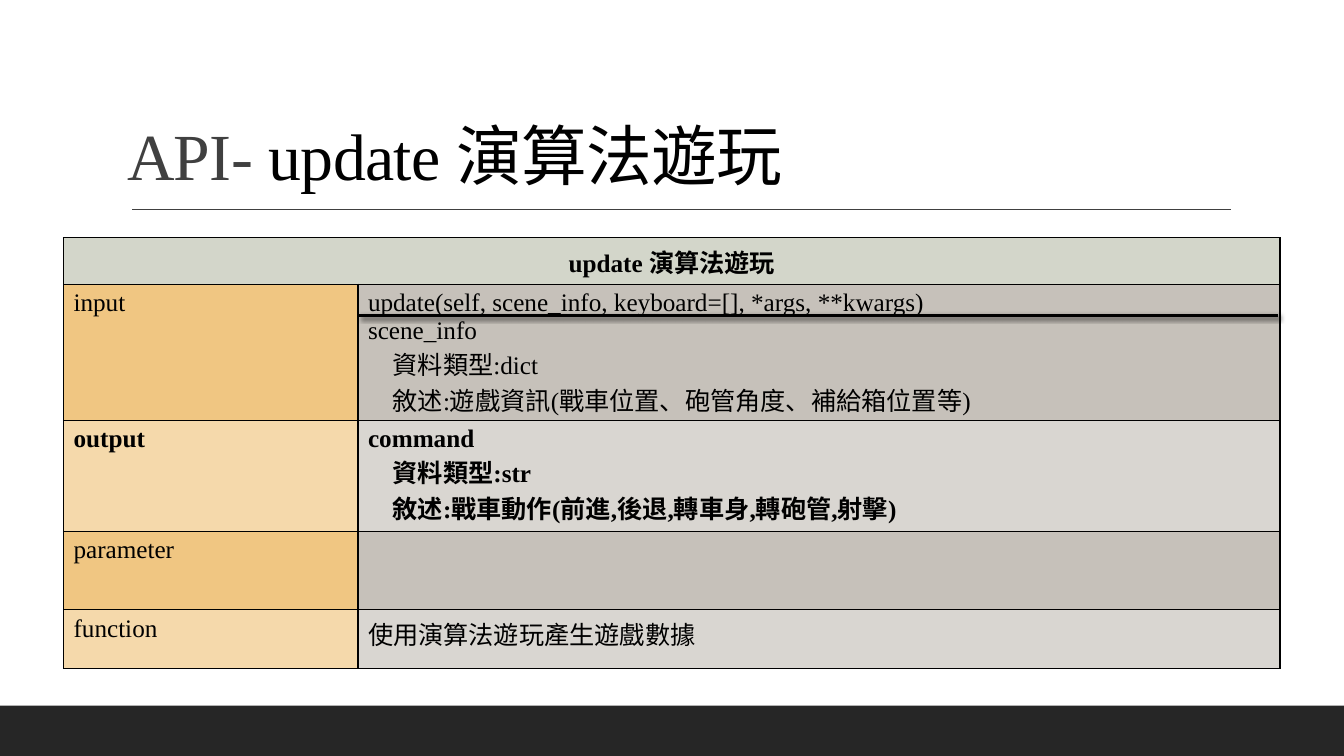
from lxml.etree import SubElement
from pptx import Presentation
from pptx.dml.color import RGBColor
from pptx.enum.shapes import MSO_CONNECTOR, MSO_SHAPE
from pptx.enum.text import MSO_ANCHOR, MSO_AUTO_SIZE, PP_ALIGN
from pptx.oxml.ns import qn
from pptx.util import Cm, Pt

BLACK = RGBColor(0x00, 0x00, 0x00)
FOOTER = RGBColor(0x26, 0x26, 0x26)
GRAY = RGBColor(0x40, 0x40, 0x40)
SAGE = RGBColor(0xD3, 0xD6, 0xCA)
ORANGE = RGBColor(0xF0, 0xC6, 0x82)
LIGHT_ORANGE = RGBColor(0xF5, 0xD9, 0xAB)
TAUPE = RGBColor(0xC6, 0xC1, 0xBA)
LIGHT_TAUPE = RGBColor(0xD9, 0xD6, 0xD1)
DARK_ROW = (ORANGE, TAUPE)
LIGHT_ROW = (LIGHT_ORANGE, LIGHT_TAUPE)

TABLE_LEFT = 1.6
COLUMNS = (7.42, 23.24)


class ApiSlide:
    font = "Times New Roman"
    body_size = Pt(18)
    title_size = Pt(47)
    detail_indent = Cm(0.62)

    def __init__(self, deck):
        self.slide = deck.slides.add_slide(deck.slide_layouts[5])
        self.shapes = self.slide.shapes

    def style_run(self, run, size, color, bold=False):
        run.font.name = self.font
        run.font.size = size
        run.font.bold = bold
        run.font.color.rgb = color

    def title(self, left, top, width, height, parts):
        title = self.shapes.title
        title.left, title.top = Cm(left), Cm(top)
        title.width, title.height = Cm(width), Cm(height)
        frame = title.text_frame
        frame.word_wrap = True
        frame.auto_size = MSO_AUTO_SIZE.NONE
        frame.vertical_anchor = MSO_ANCHOR.BOTTOM
        heading = frame.paragraphs[0]
        heading.alignment = PP_ALIGN.LEFT
        heading.line_spacing = 0.9
        for words, color in parts:
            run = heading.add_run()
            run.text = words
            self.style_run(run, self.title_size, color)
            run.font._element.set("spc", "-50")

    def bar(self, left, top, width, height, color):
        bar = self.shapes.add_shape(MSO_SHAPE.RECTANGLE, Cm(left), Cm(top), Cm(width), Cm(height))
        bar.shadow.inherit = False
        bar.fill.solid()
        bar.fill.fore_color.rgb = color
        bar.line.fill.background()

    def rule(self, left, right, y, color, width, shadow=False):
        rule = self.shapes.add_connector(MSO_CONNECTOR.STRAIGHT, Cm(left), Cm(y), Cm(right), Cm(y))
        rule.line.color.rgb = color
        rule.line.width = Pt(width)
        effects = SubElement(rule._element.spPr, qn("a:effectLst"))
        if shadow:
            outer = SubElement(effects, qn("a:outerShdw"), blurRad=str(Pt(3)),
                               dist=str(Pt(2)), dir=str(45 * 60000))
            tint = SubElement(outer, qn("a:srgbClr"), val=str(BLACK))
            SubElement(tint, qn("a:alpha"), val="60000")

    def cell(self, cell, lines, fill, bold=False, align=PP_ALIGN.LEFT):
        # Borders come before the fill in the cell properties
        properties = cell._tc.get_or_add_tcPr()
        for side in ("lnL", "lnR", "lnT", "lnB"):
            border = SubElement(properties, qn(f"a:{side}"), w=str(Pt(1)))
            SubElement(SubElement(border, qn("a:solidFill")), qn("a:srgbClr"), val=str(BLACK))
        cell.fill.solid()
        cell.fill.fore_color.rgb = fill

        # Lines that start with a tab are indented details
        cell.text_frame.text = "\n".join(line.strip() for line in lines)
        for line, paragraph in zip(lines, cell.text_frame.paragraphs):
            paragraph.alignment = align
            if line.startswith("\t"):
                paragraph._p.get_or_add_pPr().set("marL", str(self.detail_indent))
            for run in paragraph.runs:
                self.style_run(run, self.body_size, BLACK, bold)

    def table(self, top, heights, entries, heading=None):
        frame = self.shapes.add_table(len(heights), len(COLUMNS), Cm(TABLE_LEFT), Cm(top),
                                      Cm(sum(COLUMNS)), Cm(sum(heights)))
        table = frame.table
        table.first_row = table.horz_banding = False
        for column, width in zip(table.columns, COLUMNS):
            column.width = Cm(width)
        for row, height in zip(table.rows, heights):
            row.height = Cm(height)
        first = 0
        if heading:
            table.cell(0, 0).merge(table.cell(0, 1))
            self.cell(table.cell(0, 0), [heading], SAGE, True, PP_ALIGN.CENTER)
            self.cell(table.cell(0, 1), [], SAGE)
            first = 1
        for row, (label, details, fills, bold) in enumerate(entries, first):
            for column, lines in enumerate(([label], details)):
                self.cell(table.cell(row, column), lines, fills[column], bold)


def main():
    deck = Presentation()
    deck.slide_width, deck.slide_height = Cm(33.87), Cm(19.05)
    page = ApiSlide(deck)

    # Footer band and title
    page.bar(0, 17.78, 33.87, 1.27, FOOTER)
    page.rule(3.33, 31.01, 5.28, GRAY, 1)
    page.title(2.95, 0.99, 27.94, 4.04, [("API- ", GRAY), ("update 演算法遊玩", BLACK)])

    # Input
    page.table(5.99, (0.94, 3.58), [
        ("input", ["update(self, scene_info, keyboard=[], *args, **kwargs)",
                   "scene_info",
                   "\t資料類型:dict",
                   "\t敘述:遊戲資訊(戰車位置、砲管角度、補給箱位置等)"], DARK_ROW, False),
    ], heading="update 演算法遊玩")

    # Output, parameter and function
    page.table(10.59, (1.35, 1.98, 1.47), [
        ("output", ["command",
                    "\t資料類型:str",
                    "\t敘述:戰車動作(前進,後退,轉車身,轉砲管,射擊)"], LIGHT_ROW, True),
        ("parameter", [], DARK_ROW, False),
        ("function", ["使用演算法遊玩產生遊戲數據"], LIGHT_ROW, False),
    ])

    # Divider under the function signature
    page.rule(9.04, 32.21, 7.95, BLACK, 2, shadow=True)

    deck.save("out.pptx")


if __name__ == "__main__":
    main()
